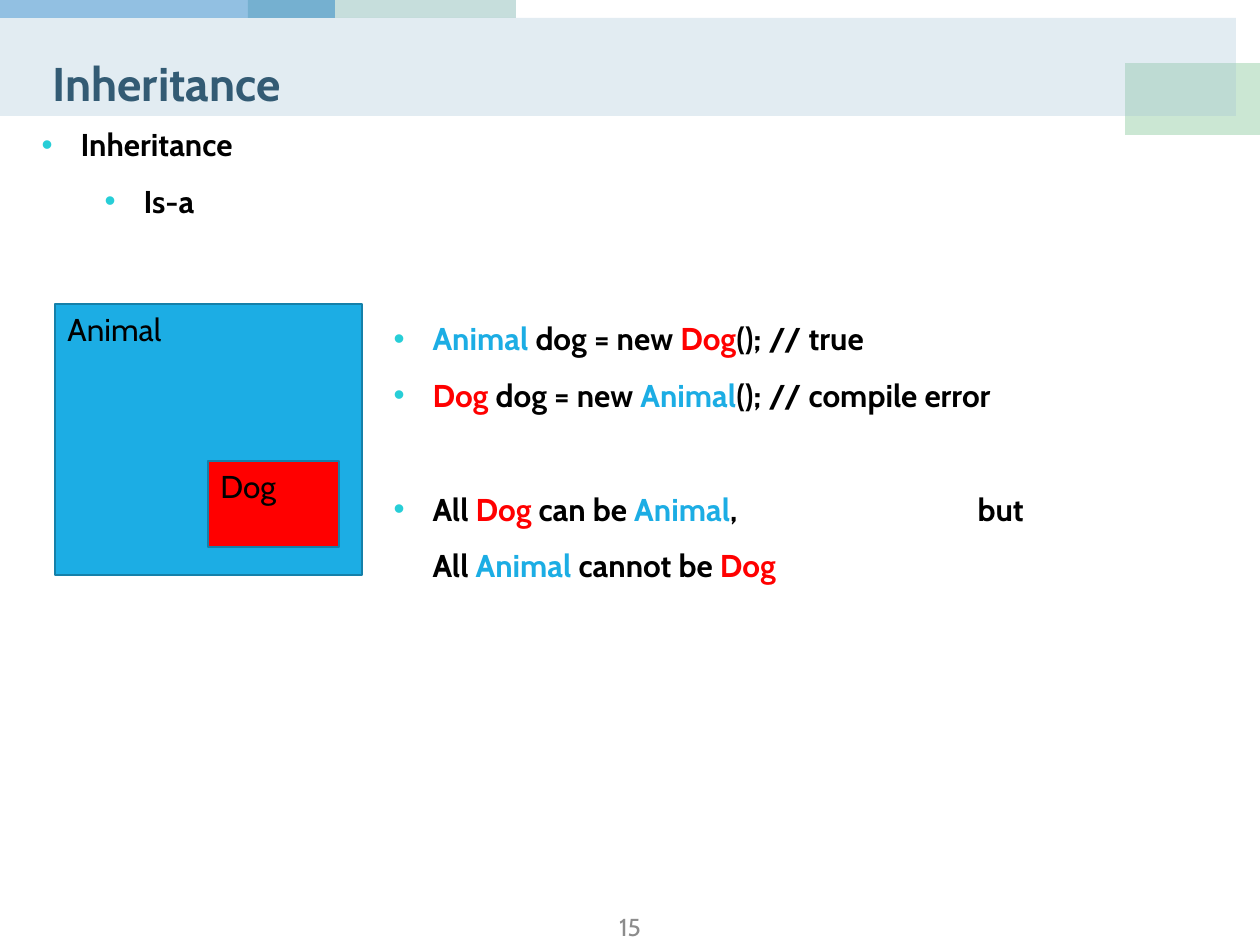
from dataclasses import dataclass, field

from lxml.etree import SubElement
from pptx import Presentation
from pptx.dml.color import RGBColor
from pptx.enum.shapes import MSO_SHAPE as Preset
from pptx.enum.text import MSO_ANCHOR as Anchor, MSO_AUTO_SIZE as AutoSize, PP_ALIGN as Align
from pptx.oxml.ns import qn
from pptx.util import Pt

EMU_PER_PX = 914400 / 126


def px(length):
    return round(length * EMU_PER_PX)


@dataclass(frozen=True)
class Theme:
    font: str = "Cabin"
    title_size: int = 27
    text_size: int = 18
    number_size: int = 14
    text: str = "000000"
    title: str = "335B74"
    number: str = "8C8C8C"
    bullet: str = "27CED7"
    outline: str = "1580A9"
    classes: dict = field(default_factory=lambda: {"Animal": "1CADE4", "Dog": "FF0000"})


class SlideBuilder:
    def __init__(self, slide, theme):
        self.slide = slide
        self.theme = theme

    def place(self, shape, box):
        shape.left, shape.top, shape.width, shape.height = map(px, box)
        self.slide.shapes.element.append(shape.element)
        return shape.text_frame

    def style(self, paragraph, size, color, bold=False):
        font = paragraph.font
        font.name, font.size, font.bold = self.theme.font, Pt(size), bold
        font.color.rgb = RGBColor.from_string(color)

    def rectangle(self, box, color, opacity=100, outlined=False):
        shape = self.slide.shapes.add_shape(Preset.RECTANGLE, *map(px, box))
        shape.shadow.inherit = False
        shape.fill.solid()
        shape.fill.fore_color.rgb = RGBColor.from_string(color)
        if opacity < 100:
            srgb = shape.fill._xPr.find(".//" + qn("a:srgbClr"))
            SubElement(srgb, qn("a:alpha"), val=str(opacity * 1000))
        if outlined:
            shape.line.color.rgb = RGBColor.from_string(self.theme.outline)
            shape.line.width = Pt(1.5)
        else:
            shape.line.fill.background()

    def title(self, text, box):
        frame = self.place(self.slide.shapes.title, box)
        frame.text = text
        frame.auto_size = AutoSize.NONE
        frame.vertical_anchor = Anchor.MIDDLE
        paragraph = frame.paragraphs[0]
        paragraph.alignment = Align.LEFT
        paragraph.line_spacing = 1.5
        self.style(paragraph, self.theme.title_size, self.theme.title, True)

    def label(self, text, box, size, color, align=Align.LEFT, anchor=Anchor.TOP):
        frame = self.place(self.slide.shapes.add_textbox(0, 0, 0, 0), box)
        frame.word_wrap = True
        frame.vertical_anchor = anchor
        frame.text = text
        paragraph = frame.paragraphs[0]
        paragraph.alignment = align
        self.style(paragraph, size, color)

    def class_box(self, name, box, label_width):
        self.rectangle(box, self.theme.classes[name], outlined=True)
        label_box = (*box[:2], label_width, 50)
        self.label(name, label_box, self.theme.text_size, self.theme.text)

    def bullets(self, placeholder, box, items, tab=None):
        frame = self.place(placeholder, box)
        frame.auto_size = AutoSize.SHAPE_TO_FIT_TEXT
        frame.margin_right = 0
        for index, (level, space_before, pieces) in enumerate(items):
            paragraph = frame.add_paragraph() if index else frame.paragraphs[0]
            paragraph.level = level
            paragraph.line_spacing = 1.5
            paragraph.space_before = Pt(space_before)
            self.bullet(paragraph, level, tab)
            self.style(paragraph, self.theme.text_size, self.theme.text, True)
            for piece in pieces:
                self.piece(paragraph, piece)

    def bullet(self, paragraph, level, tab):
        properties = paragraph._p.get_or_add_pPr()
        properties.set("marL", str(px(39 + 63 * level)))
        properties.set("indent", str(px(-39)))
        color = SubElement(properties, qn("a:buClr"))
        SubElement(color, qn("a:srgbClr"), val=self.theme.bullet)
        SubElement(properties, qn("a:buFont"), typeface="Arial")
        SubElement(properties, qn("a:buChar"), char="•")
        if tab:
            tabs = SubElement(properties, qn("a:tabLst"))
            SubElement(tabs, qn("a:tab"), pos=str(px(tab)), algn="l")

    def piece(self, paragraph, text):
        if text == "\n":
            paragraph.add_line_break()
            return
        run = paragraph.add_run()
        run.text = text
        color = self.theme.classes.get(text, self.theme.text)
        run.font.color.rgb = RGBColor.from_string(color)


def main():
    presentation = Presentation()
    presentation.slide_width, presentation.slide_height = px(1260), px(945)
    slide = presentation.slides.add_slide(presentation.slide_layouts[3])
    theme = Theme()
    builder = SlideBuilder(slide, theme)
    overview, examples = slide.placeholders[1], slide.placeholders[2]

    builder.rectangle((248, 0, 268, 18), "A1C8C5", 60)
    builder.rectangle((0, 0, 335, 18), "2683C6", 50)
    builder.rectangle((1125, 63, 135, 72), "7EC492", 40)
    builder.rectangle((0, 18, 1236, 98), "A0C1D5", 30)
    builder.label("15", (483, 910, 294, 34), theme.number_size, theme.number,
                  Align.CENTER, Anchor.MIDDLE)
    builder.title("Inheritance", (40, 25, 1177, 87))
    builder.bullets(overview, (29, 100, 1177, 121), [
        (0, 0, ["Inheritance"]),
        (1, 0, ["Is-a"]),
    ])
    builder.class_box("Animal", (55, 304, 307, 271), 131)
    builder.class_box("Dog", (208, 461, 131, 86), 93)
    builder.bullets(examples, (381, 294, 684, 292), [
        (0, 0, ["Animal", " dog = new ", "Dog", "(); // true"]),
        (0, 0, ["Dog", " dog = new ", "Animal", "(); // compile error"]),
        (0, 32.5, ["All ", "Dog", " can be ", "Animal", ",\tbut", "\n",
                   "All ", "Animal", " cannot be ", "Dog"]),
    ], tab=584)
    presentation.save("out.pptx")


if __name__ == "__main__":
    main()
